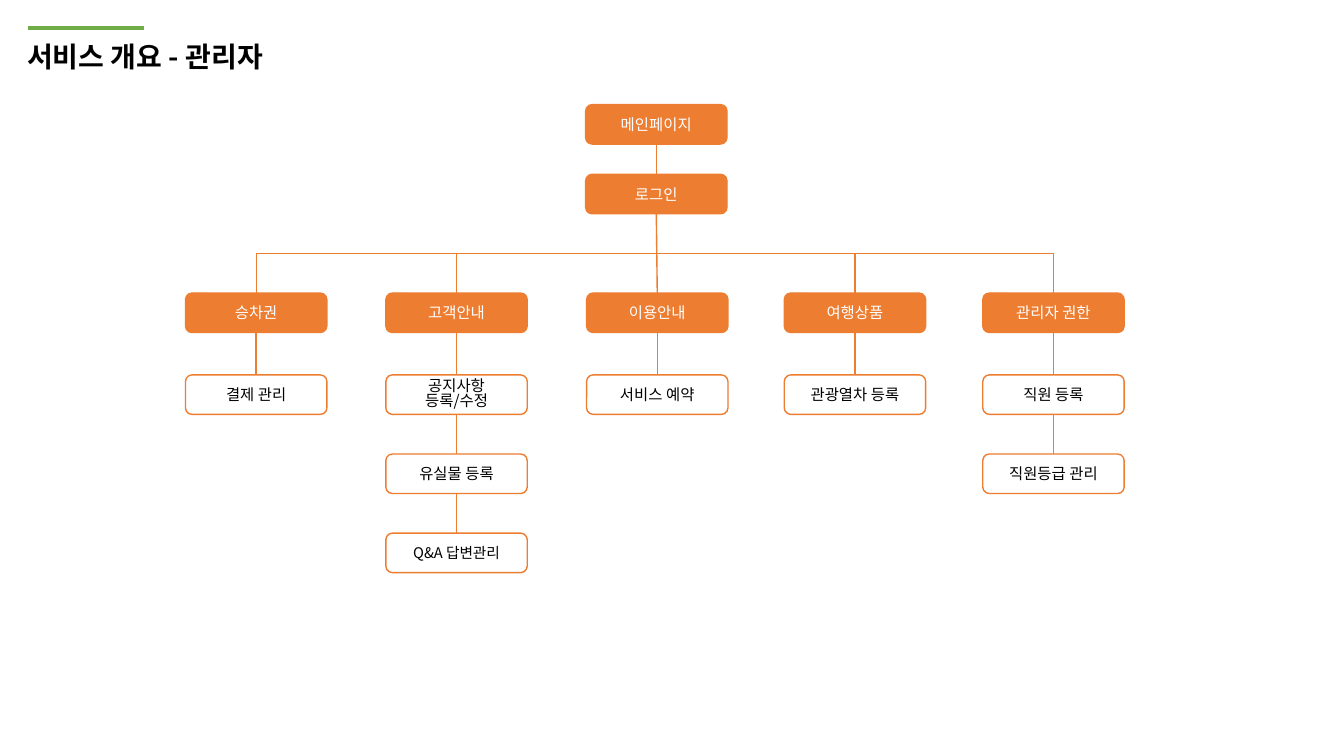
import pptx
import pptx.dml.color
import pptx.enum.shapes
import pptx.enum.text
import pptx.oxml
import pptx.oxml.ns
import pptx.util

Pt = pptx.util.Pt
Kind = pptx.enum.shapes.MSO_CONNECTOR
Align = pptx.enum.text.PP_ALIGN
Anchor = pptx.enum.text.MSO_ANCHOR

TITLE = "서비스 개요 - 관리자"
ENTRY = ["메인페이지", "로그인"]
MENUS = [
    (132.5, "승차권", ["결제 관리"]),
    (275.6, "고객안내", ["공지사항\n등록/수정", "유실물 등록", "Q&A 답변관리"]),
    (419, "이용안내", ["서비스 예약"]),
    (560.2, "여행상품", ["관광열차 등록"]),
    (702, "관리자 권한", ["직원 등록", "직원등급 관리"]),
]
SMALLER = {"Q&A 답변관리": 10.5}
COLORS = {"orange": "ED7D31", "green": "70AD47", "white": "FFFFFF", "black": "000000"}
FONT = "Noto Sans CJK KR"
BOX_WIDTH, BOX_HEIGHT = 101, 28.2
ENTRY_LEFT, ENTRY_TOP, ENTRY_STEP = 418.3, 74.7, 49.8
MENU_TOP, ITEM_TOP, ITEM_STEP = 209.3, 267.8, 56.5
TOP_SITE, BOTTOM_SITE = 0, 2


def color(name):
    return pptx.dml.color.RGBColor.from_string(COLORS[name])


def add_text(para, text, size, ink, bold=False):
    span = para.add_run()
    span.text = text
    span.font.size = Pt(size)
    span.font.name = FONT
    span.font.bold = bold
    span.font.color.rgb = color(ink)
    east_asian = pptx.oxml.parse_xml(
        f'<a:ea {pptx.oxml.ns.nsdecls("a")} typeface="{FONT}"/>')
    span.font._element.find(pptx.oxml.ns.qn("a:latin")).addnext(east_asian)


def add_box(page, left, top, text, filled):
    box = page.shapes.add_shape(
        pptx.enum.shapes.MSO_SHAPE.ROUNDED_RECTANGLE,
        Pt(left), Pt(top), Pt(BOX_WIDTH), Pt(BOX_HEIGHT))
    box.shadow.inherit = False
    box.line.color.rgb = color("orange")
    box.line.width = Pt(1)
    if filled:
        box.fill.solid()
        box.fill.fore_color.rgb = color("orange")
    else:
        box.fill.background()
    frame = box.text_frame
    frame.word_wrap = True
    frame.vertical_anchor = Anchor.MIDDLE
    lines = text.split("\n")
    for index, line in enumerate(lines):
        para = frame.add_paragraph() if index else frame.paragraphs[0]
        para.alignment = Align.CENTER
        if len(lines) > 1:
            para.line_spacing = 0.8
        add_text(para, line, SMALLER.get(text, 11), "white" if filled else "black")
    return box


def style_line(line, ink, width):
    line.line.color.rgb = color(ink)
    line.line.width = Pt(width)
    line._element.spPr.append(pptx.oxml.parse_xml(
        f'<a:effectLst {pptx.oxml.ns.nsdecls("a")}/>'))


def link(page, upper, lower, kind=Kind.STRAIGHT):
    line = page.shapes.add_connector(kind, 0, 0, 0, 0)
    line.begin_connect(upper, BOTTOM_SITE)
    line.end_connect(lower, TOP_SITE)
    style_line(line, "orange", 1)
    if kind == Kind.ELBOW:
        turn_downward(line)


def turn_downward(line):
    rightward = line.end_x > line.begin_x
    middle_x = (line.begin_x + line.end_x) // 2
    middle_y = (line.begin_y + line.end_y) // 2
    drop, reach = line.height, line.width
    line.left, line.top = middle_x - drop // 2, middle_y - reach // 2
    line.width, line.height = drop, reach
    frame = line._element.spPr.find(pptx.oxml.ns.qn("a:xfrm"))
    frame.set("rot", "16200000" if rightward else "5400000")
    frame.set("flipH", "1" if rightward else "0")


def add_title(page):
    title = page.shapes.title
    title.left, title.top, title.width, title.height = Pt(12.2), Pt(24.5), Pt(286.6), Pt(31.7)
    frame = title.text_frame
    frame.word_wrap = True
    frame.auto_size = pptx.enum.text.MSO_AUTO_SIZE.NONE
    frame.vertical_anchor = Anchor.TOP
    para = frame.paragraphs[0]
    para.alignment = Align.LEFT
    add_text(para, TITLE, 20, "black", bold=True)
    accent = page.shapes.add_connector(Kind.STRAIGHT, Pt(20), Pt(20), Pt(103), Pt(20))
    style_line(accent, "green", 3)


def main():
    deck = pptx.Presentation()
    deck.slide_width, deck.slide_height = Pt(960), Pt(540)
    page = deck.slides.add_slide(deck.slide_layouts[5])
    add_title(page)

    home, login = [
        add_box(page, ENTRY_LEFT, ENTRY_TOP + row * ENTRY_STEP, text, True)
        for row, text in enumerate(ENTRY)]
    link(page, home, login)

    middle = len(MENUS) // 2
    for column, (left, heading, items) in enumerate(MENUS):
        upper = add_box(page, left, MENU_TOP, heading, True)
        link(page, login, upper, Kind.STRAIGHT if column == middle else Kind.ELBOW)
        for row, item in enumerate(items):
            lower = add_box(page, left, ITEM_TOP + row * ITEM_STEP, item, False)
            link(page, upper, lower)
            upper = lower

    deck.save("out.pptx")


if __name__ == "__main__":
    main()
